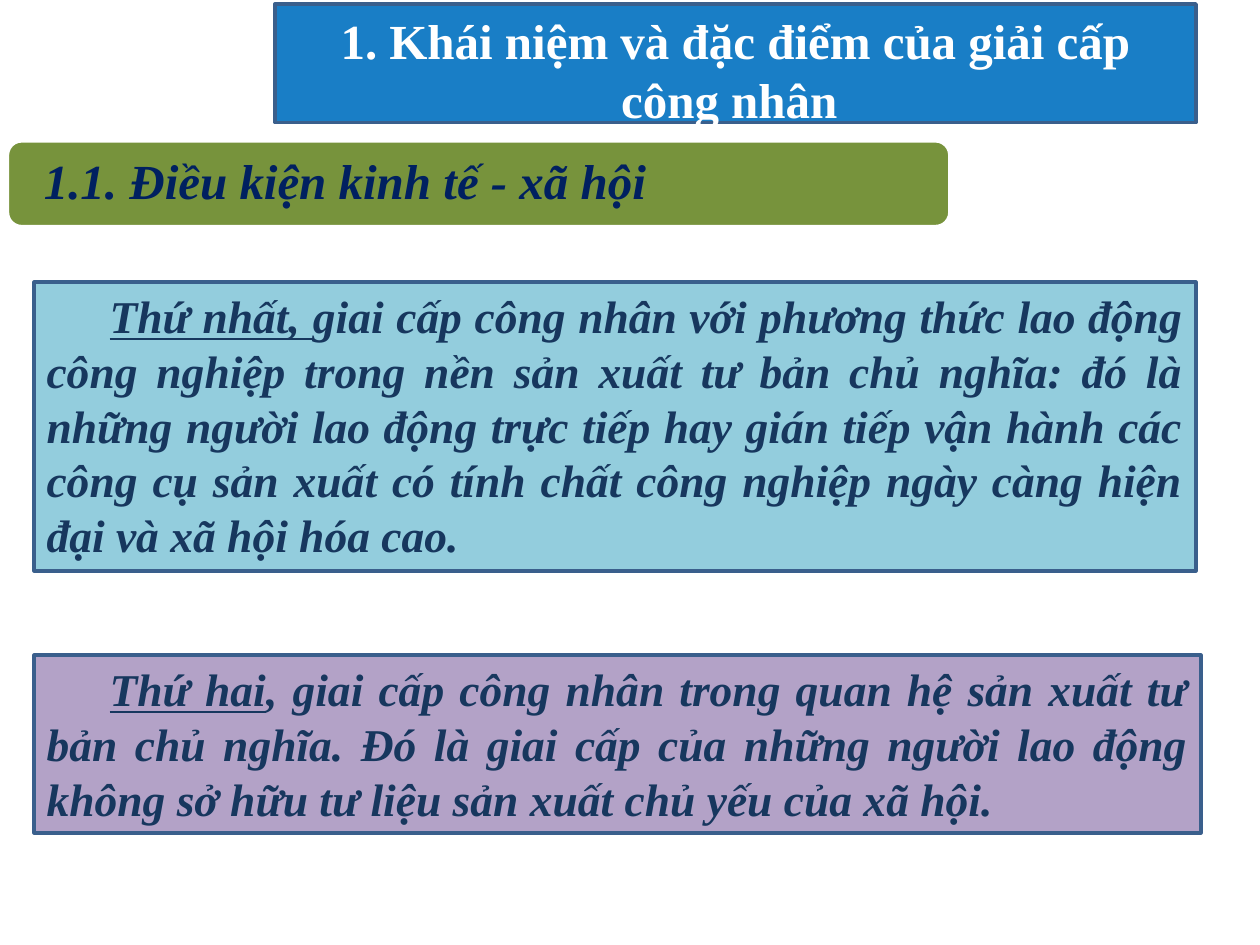
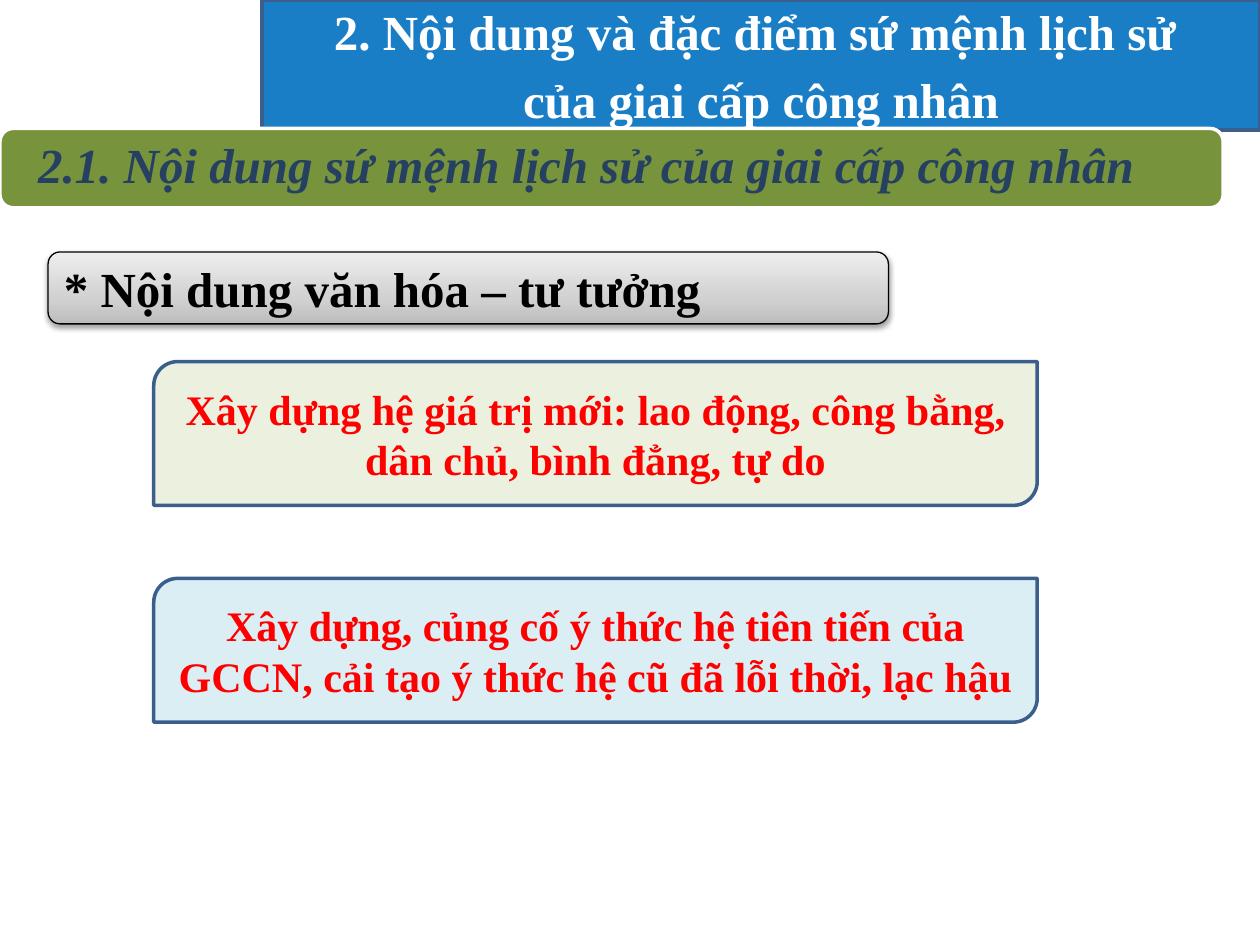
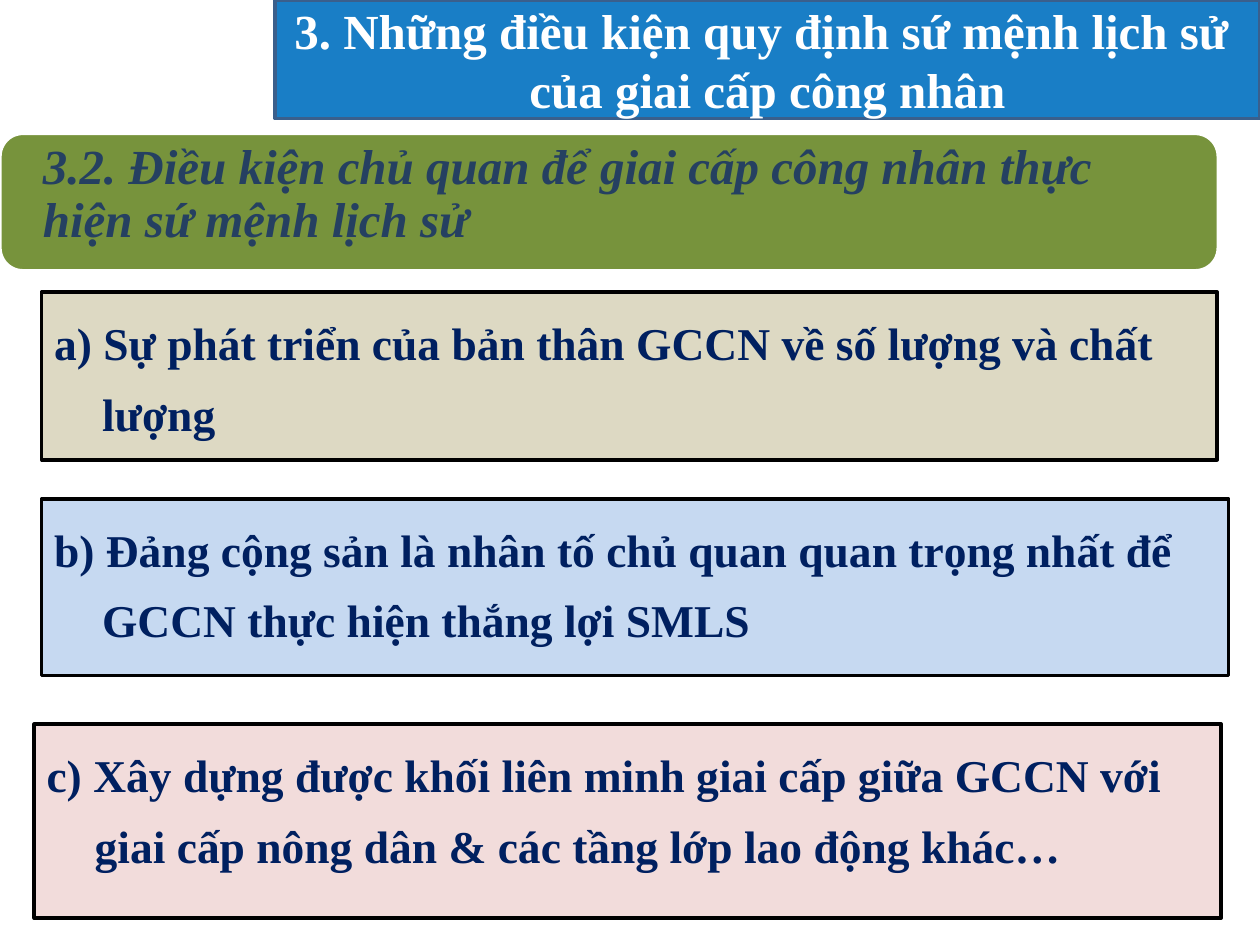
from pptx import Presentation
from pptx.dml.color import RGBColor
from pptx.enum.shapes import MSO_SHAPE
from pptx.enum.text import MSO_ANCHOR, MSO_AUTO_SIZE, PP_ALIGN
from pptx.oxml import parse_xml
from pptx.oxml.ns import nsdecls, qn
from pptx.util import Cm, Pt

HUES = {
    "blue": "0070C0", "edge": "3A5F8C", "green": "77933C", "white": "FFFFFF",
    "navy": "002060", "slate": "254061", "ink": "17375E", "red": "FF0000",
    "black": "000000", "aqua": "93CDDD", "violet": "B3A2C7", "lime": "EBF1DE",
    "ice": "DBEEF4", "sand": "DDD9C3", "sky": "C6D9F1", "rose": "F2DCDB",
}
FONT = "Times New Roman"
MID, TOP = MSO_ANCHOR.MIDDLE, MSO_ANCHOR.TOP


def paint(shape, fill, edge, width, anchor):
    shape.shadow.inherit = False
    if fill:
        shape.fill.solid()
        shape.fill.fore_color.rgb = RGBColor.from_string(HUES[fill])
    shape.line.color.rgb = RGBColor.from_string(HUES[edge])
    shape.line.width = Pt(width)
    frame = shape.text_frame
    frame.word_wrap = True
    frame.auto_size = MSO_AUTO_SIZE.NONE
    frame.vertical_anchor = anchor
    return frame


def write(para, runs, size, hue, align=PP_ALIGN.LEFT, slant=False):
    para.alignment = align
    for text, under in runs:
        run = para.add_run()
        run.text = text
        font = run.font
        font.name, font.size, font.bold = FONT, Pt(size), True
        font.italic, font.underline = slant, under
        font.color.rgb = RGBColor.from_string(HUES[hue])


deck = Presentation()
deck.slide_width, deck.slide_height = Cm(25.4), Cm(19.05)

heads = [
    ((5.54, 0.08, 18.57, 2.39), 0.36, 0,
     ["1. Khái niệm và đặc điểm của giải cấp công nhân "],
     (0.15, 2.84, 19, 1.73), 0.65, 0, "navy",
     "1.1. Điều kiện kinh tế - xã hội"),
    ((5.28, 0, 20.12, 2.62), 0.13, 5.6,
     ["2. Nội dung và đặc điểm sứ mệnh lịch sử ", "của giai cấp công nhân"],
     (0, 2.59, 24.66, 1.6), 0.69, 0, "slate",
     "2.1. Nội dung sứ mệnh lịch sử của giai cấp công nhân"),
    ((5.54, 0, 19.86, 2.39), 0.13, 0,
     ["3. Những điều kiện quy định sứ mệnh lịch sử ", "của giai cấp công nhân"],
     (0, 2.69, 24.56, 2.77), 0.73, 0.28, "slate",
     "3.2. Điều kiện chủ quan để giai cấp công nhân thực hiện sứ mệnh lịch sử"),
]

slides = []
for place, inset, gap, lines, strip, left, base, hue, topic in heads:
    slide = deck.slides.add_slide(deck.slide_layouts[5])
    slides.append(slide)
    title = slide.shapes.title
    title.left, title.top, title.width, title.height = map(Cm, place)
    title.element.spPr.append(parse_xml(
        f'<a:prstGeom {nsdecls("a")} prst="roundRect"><a:avLst/></a:prstGeom>'))
    frame = paint(title, "blue", "edge", 2, MID)
    frame.margin_top = Cm(inset)
    tint = title.element.spPr.find(qn("a:solidFill"))[0]
    tint.append(parse_xml(f'<a:alpha {nsdecls("a")} val="90000"/>'))
    for i, line in enumerate(lines):
        para = frame.add_paragraph() if i else frame.paragraphs[0]
        para.space_before = Pt(gap if i else 0)
        write(para, [(line, False)], 28, "white", PP_ALIGN.CENTER)

    band = slide.shapes.add_shape(MSO_SHAPE.ROUNDED_RECTANGLE, *map(Cm, strip))
    frame = paint(band, "green", "white", 2, MID)
    frame.margin_left = frame.margin_right = Cm(left)
    frame.margin_top, frame.margin_bottom = 0, Cm(base)
    para = frame.paragraphs[0]
    para.line_spacing = 0.9
    write(para, [(topic, False)], 28, hue, slant=True)

first, second, third = slides

traits = [
    ((0.69, 5.69, 23.42, 5.82), "aqua", "Thứ nhất, ",
     "giai cấp công nhân với phương thức lao động công nghiệp trong nền sản xuất "
     "tư bản chủ nghĩa: đó là những người lao động trực tiếp hay gián tiếp vận hành "
     "các công cụ sản xuất có tính chất công nghiệp ngày càng hiện đại và xã hội hóa cao."),
    ((0.69, 13.21, 23.52, 3.58), "violet", "Thứ hai",
     ", giai cấp công nhân trong quan hệ sản xuất tư bản chủ nghĩa. Đó là giai cấp "
     "của những người lao động không sở hữu tư liệu sản xuất chủ yếu của xã hội. "),
]
for place, fill, lead, rest in traits:
    box = first.shapes.add_shape(MSO_SHAPE.RECTANGLE, *map(Cm, place))
    para = paint(box, fill, "edge", 2, TOP).paragraphs[0]
    para._p.get_or_add_pPr().set("indent", str(Cm(1.27)))
    write(para, [(lead, True), (rest, False)], 26, "ink", PP_ALIGN.JUSTIFY, True)

values = [
    ("lime", "Xây dựng hệ giá trị mới: lao động, công bằng, dân chủ, bình đẳng, tự do"),
    ("ice", "Xây dựng, củng cố ý thức hệ tiên tiến của GCCN, cải tạo ý thức hệ cũ "
            "đã lỗi thời, lạc hậu"),
]
for i, (fill, text) in enumerate(values):
    card = second.shapes.add_shape(MSO_SHAPE.ROUND_2_DIAG_RECTANGLE,
                                   Cm(3.1), Cm(7.29 + 4.37 * i), Cm(17.81), Cm(2.9))
    frame = paint(card, fill, "edge", 2, MID)
    write(frame.paragraphs[0], [(text, False)], 24, "red", PP_ALIGN.CENTER)

label = second.shapes.add_shape(MSO_SHAPE.ROUNDED_RECTANGLE,
                                Cm(0.97), Cm(5.08), Cm(16.94), Cm(1.45))
frame = paint(label, None, "black", 0.75, MID)
write(frame.paragraphs[0], [("* Nội dung văn hóa – tư tưởng", False)], 28, "black")
stops = "".join(f'<a:gs pos="{pos}000"><a:srgbClr val="{grey}"/></a:gs>'
                for pos, grey in [(0, "BDBDBD"), (35, "D1D1D1"), (100, "EEEEEE")])
props = label.element.spPr
props.insert(2, parse_xml(
    f'<a:gradFill {nsdecls("a")} rotWithShape="1"><a:gsLst>{stops}</a:gsLst>'
    '<a:lin ang="16200000" scaled="0"/></a:gradFill>'))
props.find(qn("a:effectLst")).append(parse_xml(
    f'<a:outerShdw {nsdecls("a")} blurRad="{Pt(3.1)}" dist="{Pt(1.6)}" dir="5400000" '
    f'rotWithShape="0"><a:srgbClr val="{HUES["black"]}"><a:alpha val="38000"/>'
    '</a:srgbClr></a:outerShdw>'))

needs = [
    ((0.84, 5.89, 23.7, 3.38), "sand",
     "a) Sự phát triển của bản thân GCCN về số lượng và chất lượng"),
    ((0.84, 10.06, 23.93, 3.56), "sky",
     "b) Đảng cộng sản là nhân tố chủ quan quan trọng nhất để GCCN thực hiện thắng lợi SMLS"),
    ((0.69, 14.6, 23.93, 3.91), "rose",
     "c) Xây dựng được khối liên minh giai cấp giữa GCCN với giai cấp nông dân "
     "& các tầng lớp lao động khác…"),
]
for place, fill, text in needs:
    box = third.shapes.add_shape(MSO_SHAPE.RECTANGLE, *map(Cm, place))
    para = paint(box, fill, "black", 2, TOP).paragraphs[0]
    props = para._p.get_or_add_pPr()
    props.set("marL", str(Cm(0.97)))
    props.set("indent", str(-Cm(0.97)))
    para.line_spacing = 1.3
    write(para, [(text, False)], 26, "navy")

deck.save("out.pptx")
